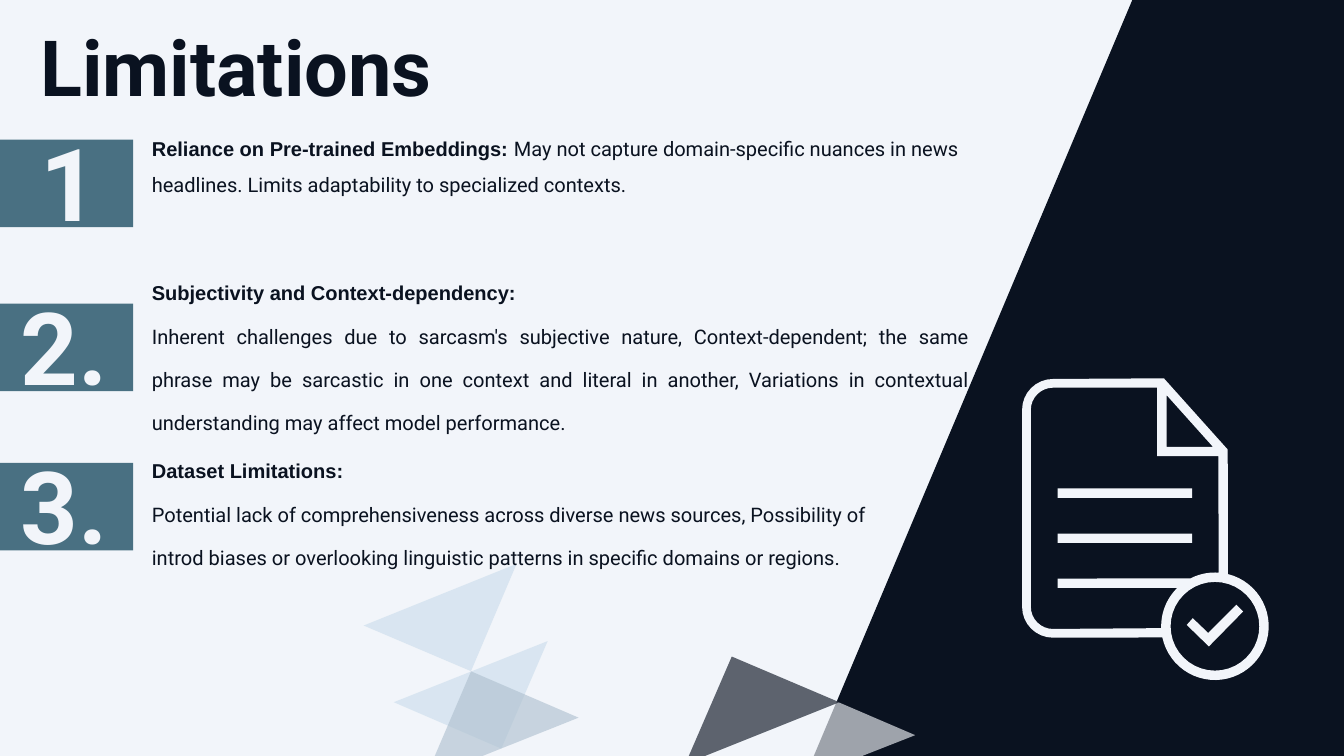
from math import cos, radians, sin

from lxml.etree import SubElement
from pptx import Presentation
from pptx.dml.color import RGBColor
from pptx.enum.shapes import MSO_SHAPE
from pptx.enum.text import MSO_ANCHOR, MSO_AUTO_SIZE, PP_ALIGN
from pptx.oxml.ns import qn
from pptx.util import Inches, Pt

WIDTH, HEIGHT = 20, 11.25
PALE = RGBColor(0xF2, 0xF5, 0xFA)
NAVY = RGBColor(0x0A, 0x12, 0x20)
TEAL = RGBColor(0x49, 0x70, 0x82)
ICE = RGBColor(0xCB, 0xDD, 0xEC)
STEEL = RGBColor(0xAF, 0xC1, 0xD0)

TITLE = "Limitations"
BODY_LEFT, BODY_SIZE = 2.26, 21.5
BAND_WIDTH, BAND_HEIGHT = 1.98, 1.3
NUMBER_RISE = 0.3  # a number's box starts this far above its band

ITEMS = [
    dict(number="1.", band_top=2.08, number_box=(0.6, 1.17),
         box=(1.85, 12.16, 1.09), inset=0.01, align=PP_ALIGN.LEFT, spacing=1.48,
         inline=True, heading="Reliance on Pre-trained Embeddings: ",
         detail="May not capture domain-specific nuances in news headlines. "
                "Limits adaptability to specialized contexts."),
    dict(number="2.", band_top=4.52, number_box=(0.31, 1.68),
         box=(3.98, 12.16, 2.15), inset=0.19, align=PP_ALIGN.JUSTIFY, spacing=1.78,
         inline=False, heading="Subjectivity and Context-dependency:",
         detail="Inherent challenges due to sarcasm's subjective nature, "
                "Context-dependent; the same phrase may be sarcastic in one context "
                "and literal in another, Variations in contextual understanding may "
                "affect model performance."),
    dict(number="3.", band_top=6.89, number_box=(0.31, 1.55),
         box=(6.63, 11.45, 1.62), inset=0.19, align=PP_ALIGN.LEFT, spacing=1.78,
         inline=False, heading="Dataset Limitations:",
         detail="Potential lack of comprehensiveness across diverse news sources, "
                "Possibility of introd biases or overlooking linguistic patterns in "
                "specific domains or regions."),
]

SIDE_PANEL = [(WIDTH, HEIGHT), (12.11, HEIGHT), (16.85, 0), (WIDTH, 0)]

# Translucent triangles along the bottom edge: colour, outlines
TRIANGLES = [
    (PALE, [[(11.36, 9.97), (13.62, 10.94), (12.83, HEIGHT), (11.87, HEIGHT)]]),
    (ICE, [[(5.41, 9.31), (7.69, 8.39), (7.01, 9.99)]]),
    (PALE, [[(7.01, 9.99), (5.41, 9.31), (4.72, 10.91)],
            [(9.29, 9.08), (7.69, 8.39), (7.01, 9.99)]]),
    (ICE, [[(5.86, 10.45), (8.15, 9.54), (7.46, 11.14)]]),
    (STEEL, [[(6.47, HEIGHT), (7.01, 9.99), (8.61, 10.68), (7.18, HEIGHT)]]),
    (PALE, [[(8.61, 10.68), (10.89, 9.77), (10.25, HEIGHT), (9.94, HEIGHT)]]),
    (NAVY, [[(10.25, HEIGHT), (10.89, 9.77), (12.49, 10.45), (10.49, HEIGHT)]]),
]


def arc(centre, radius, start, end, steps=16):
    """Points on an arc; angles in degrees, clockwise from the right."""
    angles = [radians(start + (end - start) * i / steps) for i in range(steps + 1)]
    return [(centre[0] + radius * cos(a), centre[1] + radius * sin(a)) for a in angles]


def left_corners(radius):
    """The sheet's bottom-left and top-left rounded corners."""
    return (arc((15.67, 9.03), radius, 90, 180, 8)
            + arc((15.67, 6.1), radius, 180, 270, 8))


def document_icon():
    """Outlines of a folded sheet with a check badge; nested ones cut holes."""
    badge = (18.08, 9.32)
    silhouette = (arc(badge, 0.8, -76, 168, 40) + left_corners(0.46)
                  + [(17.32, 5.63), (18.27, 6.69)])
    sheet_inside = (arc(badge, 0.8, -86, -117) + [(15.74, 8.61), (15.74, 8.75)]
                    + arc(badge, 0.8, -134.5, -182) + left_corners(0.33)
                    + [(17.22, 5.77), (17.22, 6.79), (18.13, 6.79)])
    fold = [(18.05, 6.65), (17.36, 6.65), (17.36, 5.88)]
    text_lines = [[(15.74, y), (17.74, y), (17.74, y + 0.14), (15.74, y + 0.14)]
                  for y in (7.27, 7.94)]
    check = [(18.5, 9.1), (18.4, 9), (17.98, 9.42), (17.75, 9.2), (17.66, 9.3),
             (17.99, 9.62)]
    return [silhouette, sheet_inside, fold, *text_lines,
            arc(badge, 0.66, 0, 360, 40), check]


def paint(shape, color, opacity=100):
    shape.shadow.inherit = False
    shape.fill.solid()
    shape.fill.fore_color.rgb = color
    shape.line.fill.background()
    if opacity < 100:
        swatch = shape.fill._xPr.find(qn("a:solidFill")).find(qn("a:srgbClr"))
        SubElement(swatch, qn("a:alpha"), val=str(opacity * 1000))


def add_outline(page, contours, color, opacity=100):
    contours = [[(Inches(x), Inches(y)) for x, y in points] for points in contours]
    builder = page.shapes.build_freeform(*contours[0][0], scale=1.0)
    for index, (first, *rest) in enumerate(contours):
        if index:
            builder.move_to(*first)
        builder.add_line_segments(rest, close=True)
    paint(builder.convert_to_shape(), color, opacity)


def prepare_frame(box, top_inset=0.01):
    settings = dict(word_wrap=True, auto_size=MSO_AUTO_SIZE.NONE,
                    vertical_anchor=MSO_ANCHOR.TOP, margin_left=0, margin_right=0,
                    margin_top=Inches(top_inset), margin_bottom=0)
    for name, value in settings.items():
        setattr(box.text_frame, name, value)
    return box.text_frame


def add_span(para, text, size, name="Roboto", bold=True, color=NAVY):
    span = para.add_run()
    span.text = text
    for key, value in dict(size=Pt(size), name=name, bold=bold).items():
        setattr(span.font, key, value)
    span.font.color.rgb = color


def add_box(page, left, top, width, height):
    return page.shapes.add_textbox(*map(Inches, (left, top, width, height)))


def add_number(page, item):
    band = page.shapes.add_shape(MSO_SHAPE.RECTANGLE, 0, Inches(item["band_top"]),
                                 Inches(BAND_WIDTH), Inches(BAND_HEIGHT))
    paint(band, TEAL)
    left, width = item["number_box"]
    box = add_box(page, left, item["band_top"] - NUMBER_RISE, width, 1.83)
    add_span(prepare_frame(box).paragraphs[0], item["number"], 108, color=PALE)


def add_item(page, item):
    top, width, height = item["box"]
    frame = prepare_frame(add_box(page, BODY_LEFT, top, width, height), item["inset"])
    heading = frame.paragraphs[0]
    add_span(heading, item["heading"], BODY_SIZE, "Arial")
    detail = heading if item["inline"] else frame.add_paragraph()
    add_span(detail, item["detail"], BODY_SIZE, bold=False)
    detail.line_spacing = item["spacing"]
    if not item["inline"]:
        detail.space_before = Pt(1.3)
    for para in frame.paragraphs:
        para.alignment = item["align"]


def add_title(page):
    title = page.shapes.title
    title.left, title.top, title.width, title.height = map(
        Inches, (0.6, 0.27, 6.65, 1.41))
    para = prepare_frame(title).paragraphs[0]
    para.alignment = PP_ALIGN.LEFT
    add_span(para, TITLE, 83)


def main():
    deck = Presentation()
    deck.slide_width, deck.slide_height = Inches(WIDTH), Inches(HEIGHT)
    page = deck.slides.add_slide(deck.slide_layouts[5])
    page.background.fill.solid()
    page.background.fill.fore_color.rgb = PALE

    add_title(page)
    add_outline(page, [SIDE_PANEL], NAVY)
    add_outline(page, document_icon(), PALE)
    for color, contours in TRIANGLES:
        add_outline(page, contours, color, opacity=64)
    for item in ITEMS:
        add_number(page, item)
        add_item(page, item)
    deck.save("out.pptx")


if __name__ == "__main__":
    main()
